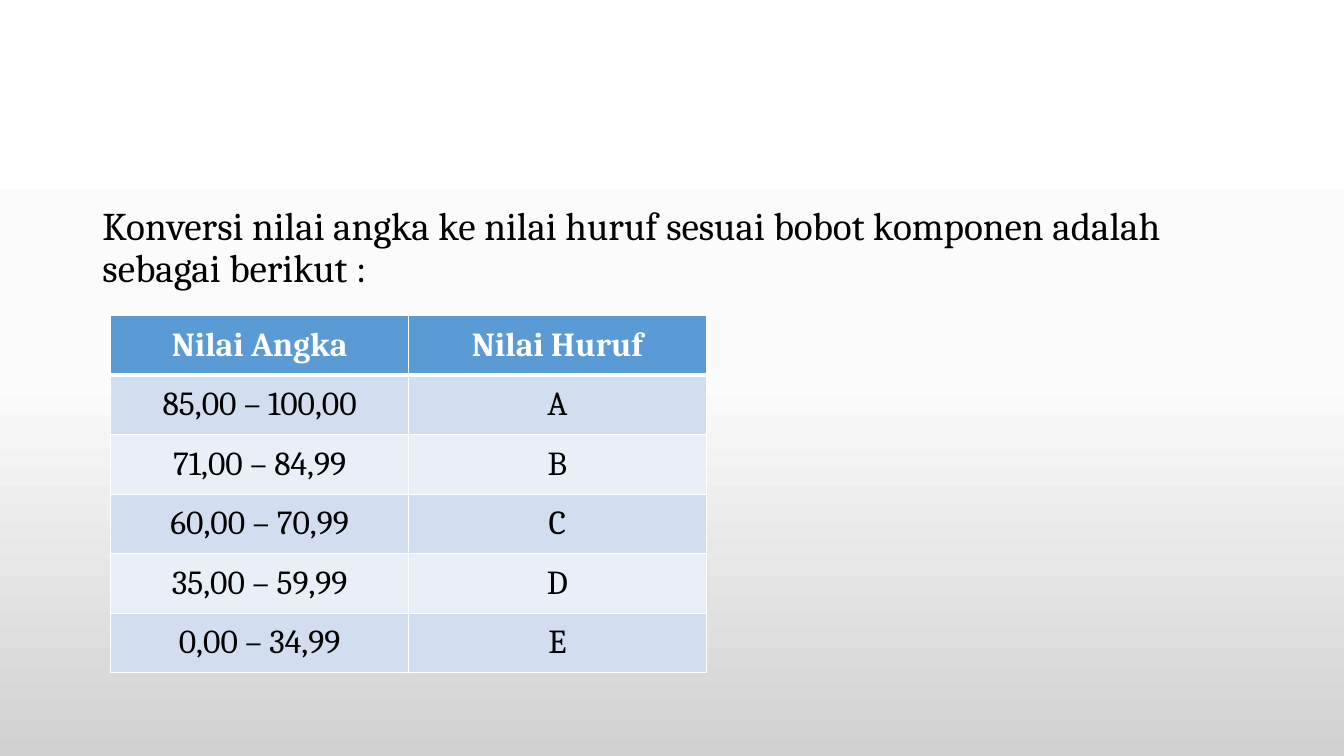
import copy

import pptx
import pptx.dml.color
import pptx.enum.text
import pptx.oxml.ns
import pptx.oxml.xmlchemy
import pptx.util
from lxml import etree

Pt = pptx.util.Pt
qn = pptx.oxml.ns.qn

FONT = "Cambria"
BACKGROUND_STOPS = [(0, "FFFFFF"), (0.5, "FBFBFB"), (1, "D1D1D1")]
HEADER_FILL = "5B9BD5"
BAND_FILLS = ["D2DEEF", "EAEFF7"]
GRADES = [
    ("Nilai Angka", "Nilai Huruf"),
    ("85,00 – 100,00", "A"),
    ("71,00 – 84,99", "B"),
    ("60,00 – 70,99", "C"),
    ("35,00 – 59,99", "D"),
    ("0,00 – 34,99", "E"),
]


def color(value):
    return pptx.dml.color.RGBColor.from_string(value)


def write_text(frame, text, size, fill="000000", bold=False, align=None):
    para = frame.paragraphs[0]
    para.alignment = align
    span = para.add_run()
    span.text = text
    span.font.name = FONT
    span.font.size = Pt(size)
    span.font.bold = bold
    span.font.color.rgb = color(fill)
    return para


def set_background(page, stops):
    fill = page.background.fill
    fill.gradient()
    fill.gradient_angle = 270
    stop_list = next(page.element.iter(qn("a:gsLst")))
    while len(stop_list) < len(stops):
        stop_list.append(copy.deepcopy(stop_list[0]))
    for stop, (position, value) in zip(fill.gradient_stops, stops):
        stop.position = position
        stop.color.rgb = color(value)


def add_intro(page, text):
    body = page.placeholders[1]
    body.left, body.top, body.width, body.height = Pt(66), Pt(144), Pt(828), Pt(342.6)
    frame = body.text_frame
    frame.auto_size = pptx.enum.text.MSO_AUTO_SIZE.NONE
    frame.vertical_anchor = pptx.enum.text.MSO_ANCHOR.TOP
    para = write_text(frame, text, 28)
    para.line_spacing = 0.9
    para.space_before = Pt(0)
    # Plain paragraph: no bullet, no indent
    properties = para._p.get_or_add_pPr()
    properties.set("marL", "0")
    properties.set("indent", "0")
    etree.SubElement(properties, qn("a:buNone"))


def set_borders(cell, value, **widths):
    properties = cell._tc.get_or_add_tcPr()
    for side, width in widths.items():
        line = etree.SubElement(properties, qn(f"a:ln{side}"), w=str(Pt(width)))
        solid = etree.SubElement(line, qn("a:solidFill"))
        etree.SubElement(solid, qn("a:srgbClr"), val=value)


def add_grade_table(page, rows, left, top, column_width, row_height):
    columns = len(rows[0])
    table = page.shapes.add_table(
        len(rows), columns, Pt(left), Pt(top),
        Pt(column_width * columns), Pt(row_height * len(rows)),
    ).table
    for column in table.columns:
        column.width = Pt(column_width)
    for row_index, texts in enumerate(rows):
        header = row_index == 0
        for column_index, text in enumerate(texts):
            cell = table.cell(row_index, column_index)
            cell.vertical_anchor = pptx.enum.text.MSO_ANCHOR.MIDDLE
            set_borders(cell, "FFFFFF", L=1, R=1,
                        T=3 if row_index == 1 else 1, B=3 if header else 1)
            cell.fill.solid()
            cell.fill.fore_color.rgb = color(
                HEADER_FILL if header else BAND_FILLS[(row_index - 1) % 2])
            write_text(cell.text_frame, text, 24, bold=header,
                       fill="FFFFFF" if header else "000000",
                       align=pptx.enum.text.PP_ALIGN.CENTER)


def main():
    deck = pptx.Presentation()
    deck.slide_width, deck.slide_height = Pt(960), Pt(540)
    page = deck.slides.add_slide(deck.slide_layouts[1])
    set_background(page, BACKGROUND_STOPS)

    # This slide has no title
    title = page.shapes.title.element
    title.getparent().remove(title)

    # Introduction and grade conversion
    add_intro(page, "Konversi nilai angka ke nilai huruf sesuai bobot komponen "
                    "adalah sebagai berikut :")
    add_grade_table(page, GRADES, left=79.2, top=225.5,
                    column_width=212.6, row_height=42.5)
    deck.save("out.pptx")


if __name__ == "__main__":
    main()
